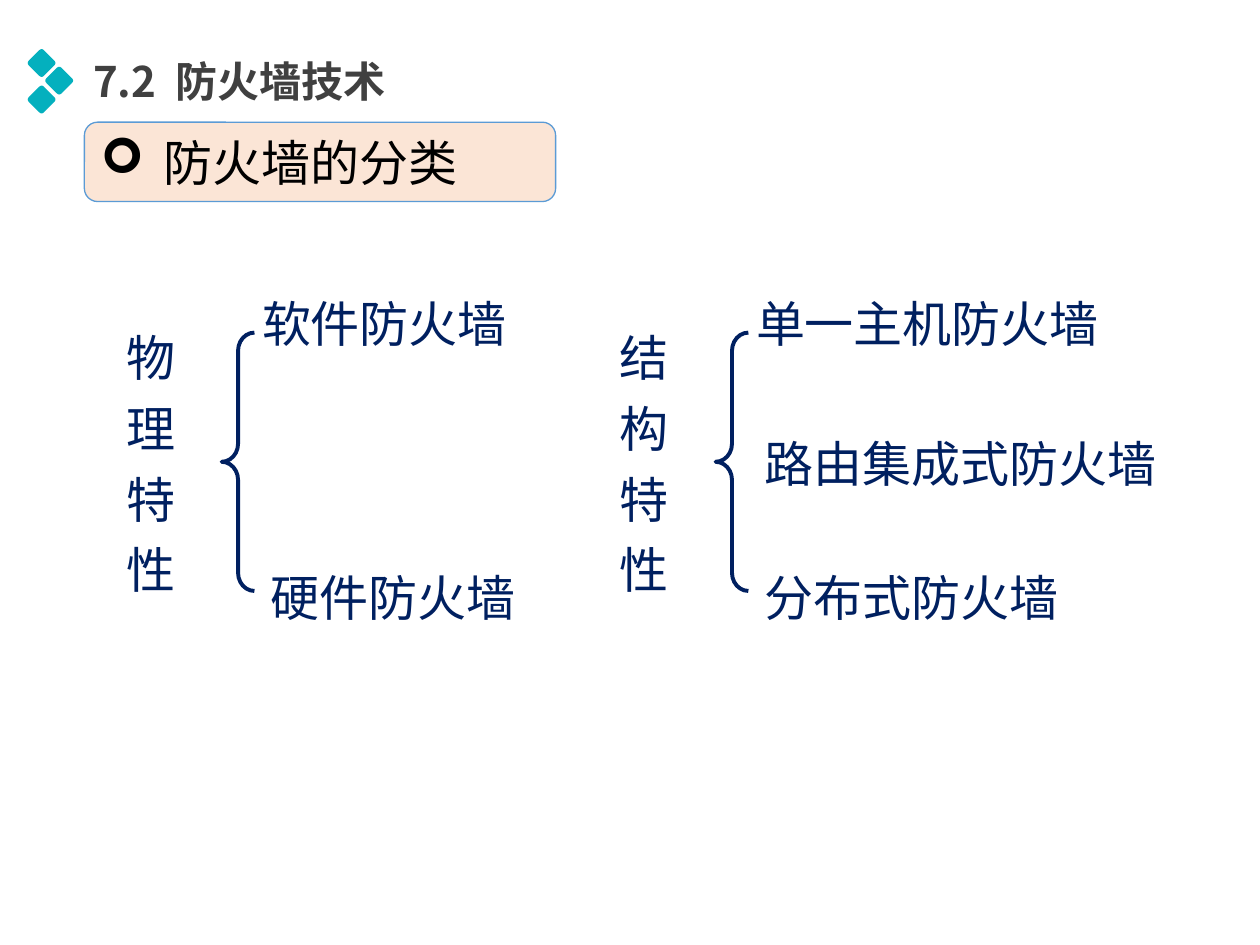
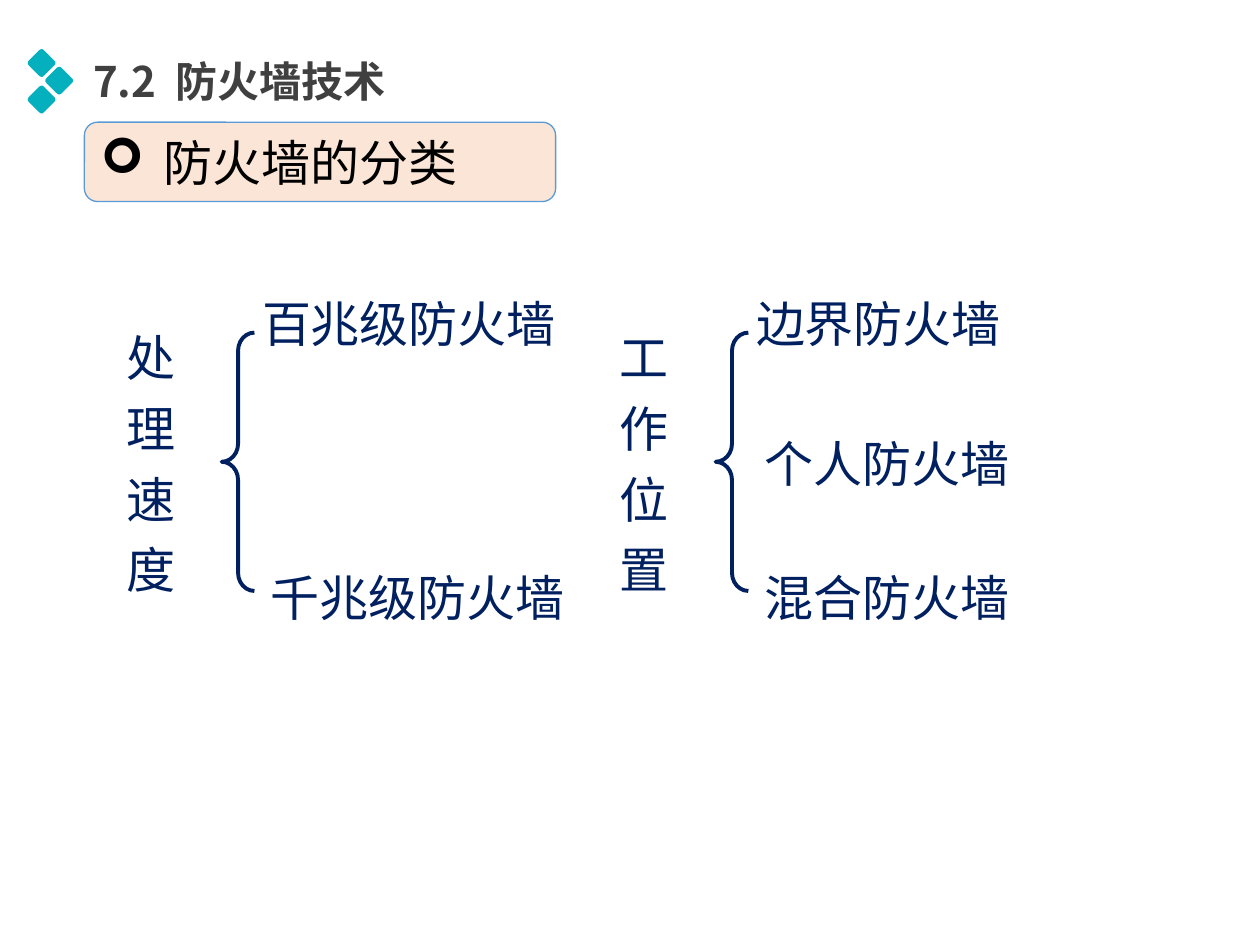
from dataclasses import dataclass

from lxml import etree
from pptx import Presentation
from pptx.dml.color import RGBColor
from pptx.enum.shapes import MSO_SHAPE
from pptx.enum.text import MSO_ANCHOR, MSO_AUTO_SIZE, PP_ALIGN
from pptx.oxml.ns import qn
from pptx.util import Pt

ROUNDED, LEFT_BRACE = MSO_SHAPE.ROUNDED_RECTANGLE, MSO_SHAPE.LEFT_BRACE
TOP, MIDDLE = MSO_ANCHOR.TOP, MSO_ANCHOR.MIDDLE
LEFT, CENTER = PP_ALIGN.LEFT, PP_ALIGN.CENTER
FIXED, GROW = MSO_AUTO_SIZE.NONE, MSO_AUTO_SIZE.SHAPE_TO_FIT_TEXT
PX = 9144  # EMU; 100 px to the inch


@dataclass(frozen=True)
class Theme:
    accent: str = "04B0BE"
    title: str = "404040"
    topic: str = "000000"
    topic_fill: str = "FBE5D6"
    topic_line: str = "5B9BD5"
    tree: str = "002060"
    font: str = "Noto Sans CJK SC"
    topic_font: str = "Calibri"
    title_size: int = 24
    body_size: int = 28


THEME = Theme()
TITLE = "7.2 防火墙技术"
TOPIC = "防火墙的分类"
DIAMONDS = [(33, 50), (47, 64), (33, 79)]
TREE_LEFTS = (94, 486)
TREE_INSETS = (6, 0, 18, 0)
# Each slide: (criterion, {row: kind of firewall}) for the left and right trees
SLIDES = [
    [("物理特性", {"top": "软件防火墙", "bottom": "硬件防火墙"}),
     ("结构特性", {"top": "单一主机防火墙", "middle": "路由集成式防火墙",
               "bottom": "分布式防火墙"})],
    [("处理速度", {"top": "百兆级防火墙", "bottom": "千兆级防火墙"}),
     ("工作位置", {"top": "边界防火墙", "middle": "个人防火墙",
               "bottom": "混合防火墙"})],
]
# Offset from the tree's left, top, width, height
ROWS = {"top": (108, 228, 312, 48),
        "middle": (115, 335, 339, 56),
        "bottom": (115, 441, 339, 56)}


def emu(*lengths):
    return [round(length * PX) for length in lengths]


def rgb(color):
    return RGBColor.from_string(color)


def write(shape, text, *, size=THEME.body_size, color=THEME.tree, font=THEME.font,
          bold=False, align=LEFT, anchor=TOP, insets=(10, 5, 10, 5),
          line_spacing=None, fit=FIXED, bullet=None, indent=50, gap=0):
    """Fill a shape with one paragraph; gap widens the first space, in points."""
    frame = shape.text_frame
    frame.word_wrap = True
    frame.auto_size = fit
    frame.vertical_anchor = anchor
    (frame.margin_left, frame.margin_top,
     frame.margin_right, frame.margin_bottom) = emu(*insets)
    paragraph = frame.paragraphs[0]
    paragraph.alignment = align
    if line_spacing:
        paragraph.line_spacing = line_spacing
    if bullet:
        properties = paragraph._p.get_or_add_pPr()
        properties.set("marL", str(indent * PX))
        properties.set("indent", str(-indent * PX))
        etree.SubElement(properties, qn("a:buFont"), typeface="Wingdings")
        etree.SubElement(properties, qn("a:buChar"), char=bullet)
    for part in text.partition(" ") if gap else [text]:
        run = paragraph.add_run()
        run.text = part
        run.font.size = Pt(size)
        run.font.bold = bold
        run.font.name = font
        run.font.color.rgb = rgb(color)
        etree.SubElement(run._r.rPr, qn("a:ea"), typeface=THEME.font)
        if part == " ":
            run._r.rPr.set("spc", str(round(gap * 100)))


def add_text(slide, box, text, **style):
    write(slide.shapes.add_textbox(*emu(*box)), text, **style)


def add_preset(slide, kind, box, line, line_width, fill=None):
    shape = slide.shapes.add_shape(kind, *emu(*box))
    shape.shadow.inherit = False
    if fill:
        shape.fill.solid()
        shape.fill.fore_color.rgb = rgb(fill)
    else:
        shape.fill.background()
    shape.line.color.rgb = rgb(line)
    shape.line.width = Pt(line_width)
    return shape


def add_diamond(slide, center_x, center_y, tip=12, cut=2, steps=6):
    """Draw a diamond whose corners are rounded by quadratic curves."""
    outline = []
    for along_x, along_y in [(0, -1), (1, 0), (0, 1), (-1, 0)]:
        for step in range(steps + 1):
            t = step / steps
            reach = tip - cut * ((1 - t) ** 2 + t ** 2)
            side = cut * (2 * t - 1)
            outline.append(emu(center_x + along_x * reach - along_y * side,
                               center_y + along_y * reach + along_x * side))
    builder = slide.shapes.build_freeform(*outline[0], scale=1.0)
    builder.add_line_segments(outline[1:], close=True)
    diamond = builder.convert_to_shape()
    diamond.shadow.inherit = False
    diamond.fill.solid()
    diamond.fill.fore_color.rgb = rgb(THEME.accent)
    diamond.line.fill.background()


def add_header(slide):
    for center in DIAMONDS:
        add_diamond(slide, *center)
    add_text(slide, (67, 40, 303, 48), TITLE, size=THEME.title_size,
             color=THEME.title, bold=True, insets=(7, 4, 7, 4), fit=GROW, gap=5.4)
    topic = add_preset(slide, ROUNDED, (67, 97, 374, 63),
                       THEME.topic_line, 0.75, THEME.topic_fill)
    write(topic, TOPIC, color=THEME.topic, font=THEME.topic_font,
          fit=GROW, bullet="➢")


def add_tree(slide, left, criterion, kinds):
    style = {"anchor": MIDDLE, "insets": TREE_INSETS, "line_spacing": 1.2}
    add_text(slide, (left, 251, 63, 224), criterion, align=CENTER, **style)
    brace = add_preset(slide, LEFT_BRACE, (left + 82, 264, 26, 205), THEME.tree, 2.25)
    brace.adjustments[0] = 0.554
    for row, kind in kinds.items():
        offset, *rest = ROWS[row]
        add_text(slide, (left + offset, *rest), kind, **style)


def main():
    deck = Presentation()
    deck.slide_width, deck.slide_height = emu(1000, 750)
    blank = deck.slide_layouts[6]
    for trees in SLIDES:
        slide = deck.slides.add_slide(blank)
        add_header(slide)
        for left, (criterion, kinds) in zip(TREE_LEFTS, trees):
            add_tree(slide, left, criterion, kinds)
    deck.save("out.pptx")


if __name__ == "__main__":
    main()
